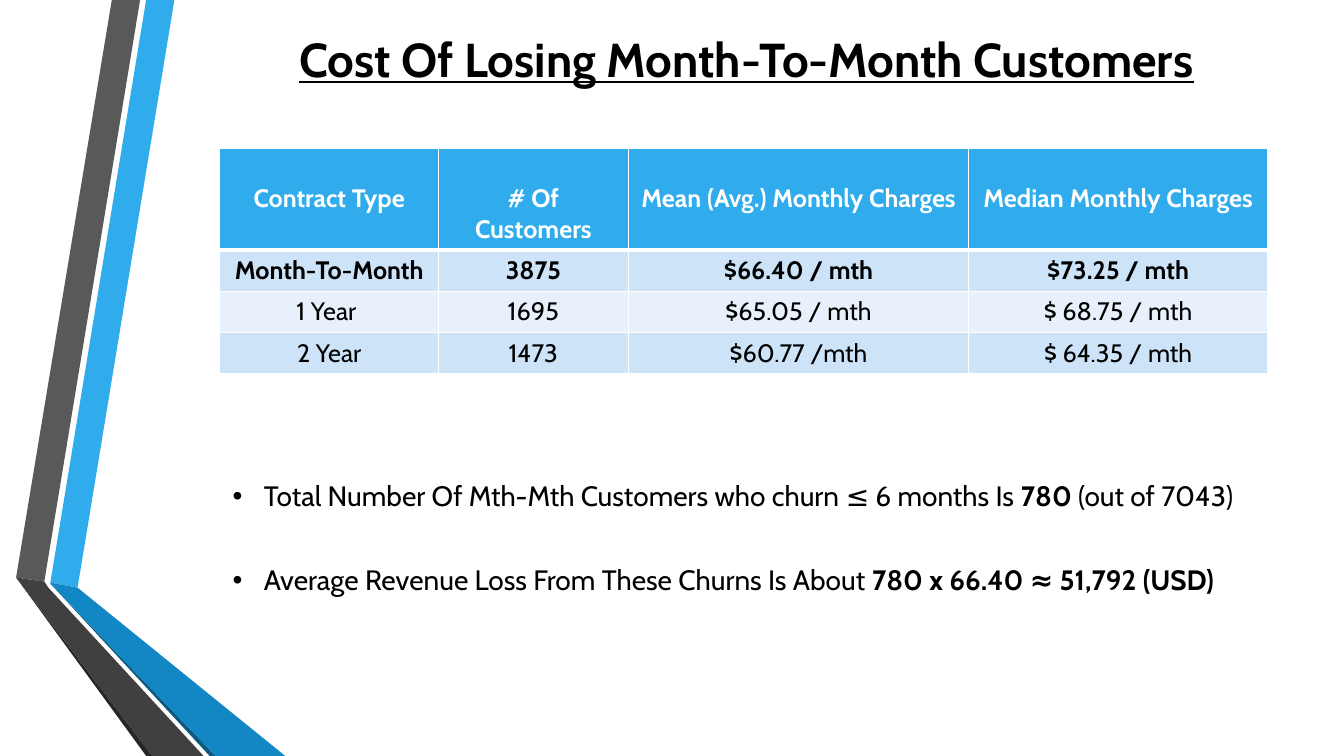
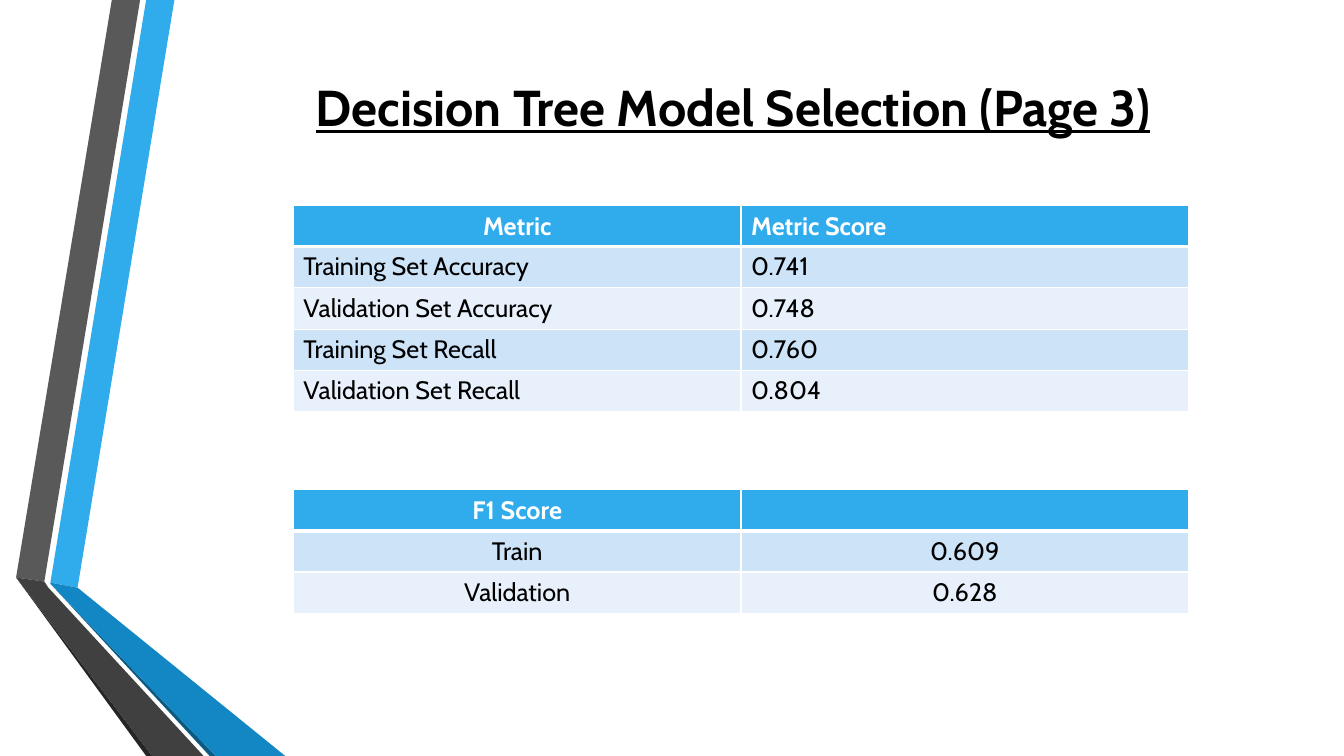
from dataclasses import dataclass

import lxml.etree
import pptx
import pptx.dml.color
import pptx.enum.text
import pptx.oxml.ns
import pptx.util

Inches = pptx.util.Inches
Pt = pptx.util.Pt
ALIGN = pptx.enum.text.PP_ALIGN
ANCHOR = pptx.enum.text.MSO_ANCHOR

FONT = "Cabin"
BLACK, WHITE, BLUE = "000000", "FFFFFF", "30ACEC"
STRIPES = ("CDE3F8", "E8F1FB")
TITLE_ONLY = 5


@dataclass
class Band:
    color: str
    points: list[tuple[float, float]]


@dataclass
class Grid:
    left: float
    top: float
    cols: list[float]
    rows: list[list[str]]
    head: float = 0.4
    pad: float = 0.05
    bold: int = 1
    centred: bool = True


BANDS = [
    Band(BLUE, [(0.5, 5.78), (0.77, 5.83), (1.73, 0), (1.45, 0)]),
    Band("595959", [(1.39, 0), (1.11, 0), (0.16, 5.73), (0.44, 5.77)]),
    Band("262626", [(0.16, 5.73), (1.45, 7.5), (1.51, 7.5)]),
    Band("0C5A82", [(0.5, 5.79), (2.08, 7.5), (2.14, 7.5)]),
    Band("1287C3", [(0.5, 5.79), (2.14, 7.5), (2.83, 7.5), (0.77, 5.83), (0.5, 5.78)]),
    Band("404040", [(2.02, 7.5), (0.48, 5.83), (0.44, 5.77), (0.16, 5.73), (1.51, 7.5)]),
]

COSTS = Grid(
    2.18, 1.47, [2.17, 1.88, 3.38, 2.96],
    [
        ["Contract Type", "# Of Customers", "Mean (Avg.) Monthly Charges",
         "Median Monthly Charges"],
        ["Month-To-Month", "3875", "$66.40 / mth", "$73.25 / mth"],
        ["1 Year ", "1695", "$65.05 / mth", "$ 68.75 / mth"],
        ["2 Year", "1473", "$60.77 /mth", "$ 64.35 / mth"],
    ],
    head=1, pad=0.35, bold=2,
)
METRICS = Grid(
    2.91, 2.04, [4.44, 4.44],
    [
        ["Metric", "Metric Score"],
        ["Training Set Accuracy", "0.741"],
        ["Validation Set Accuracy", "0.748"],
        ["Training Set Recall", "0.760"],
        ["Validation Set Recall", "0.804"],
    ],
    centred=False,
)
SCORES = Grid(
    2.91, 4.86, [4.44, 4.44],
    [["F1 Score", ""], ["Train", "0.609"], ["Validation", "0.628"]],
)

# Each bullet is a list of (text, bold) runs.
POINTS = [
    [("Total Number Of Mth-Mth Customers who churn ≤ 6 months Is ", False),
     ("780", True), (" (out of 7043)", False)],
    [("Average Revenue Loss From These Churns Is About ", False),
     ("780 x 66.40 ≈ 51,792 (USD)", True)],
]


def rgb(color: str) -> pptx.dml.color.RGBColor:
    return pptx.dml.color.RGBColor.from_string(color)


def paint(fill, color: str) -> None:
    fill.solid()
    fill.fore_color.rgb = rgb(color)


def add_run(para, text: str, size: float, color: str = BLACK, bold: bool = False):
    run = para.add_run()
    run.text = text
    run.font.name, run.font.size, run.font.bold = FONT, Pt(size), bold
    run.font.color.rgb = rgb(color)
    return run


def add_node(parent, tag: str, **attrs):
    return lxml.etree.SubElement(parent, pptx.oxml.ns.qn(tag), attrs)


def add_bands(slide) -> None:
    for band in BANDS:
        first, *rest = [(Inches(x), Inches(y)) for x, y in band.points]
        form = slide.shapes.build_freeform(*first)
        form.add_line_segments(rest)
        shape = form.convert_to_shape()
        shape.shadow.inherit = False
        paint(shape.fill, band.color)
        shape.line.fill.background()


def start_slide(deck, title: str, box: tuple[float, ...], size: float):
    """Add a slide with the side bands and an underlined title."""
    slide = deck.slides.add_slide(deck.slide_layouts[TITLE_ONLY])
    add_bands(slide)
    shape = slide.shapes.title
    shape.left, shape.top, shape.width, shape.height = map(Inches, box)
    frame = shape.text_frame
    frame.word_wrap = True
    frame.auto_size = pptx.enum.text.MSO_AUTO_SIZE.NONE
    frame.vertical_anchor = ANCHOR.MIDDLE
    para = frame.paragraphs[0]
    para.alignment = ALIGN.CENTER
    add_run(para, title, size, bold=True).font.underline = True
    return slide


def set_edges(cell, row: int) -> None:
    """Draw white cell borders, thick between the header and the body."""
    props = cell._tc.get_or_add_tcPr()
    widths = {"L": 1, "R": 1, "T": 3 if row == 1 else 1, "B": 3 if row == 0 else 1}
    for side, width in widths.items():
        line = add_node(props, f"a:ln{side}", w=str(Pt(width)))
        add_node(add_node(line, "a:solidFill"), "a:srgbClr", val=WHITE)


def fill_cell(cell, text: str, row: int, col: int, grid: Grid) -> None:
    set_edges(cell, row)
    paint(cell.fill, STRIPES[(row - 1) % 2] if row else BLUE)
    if row == 0:
        cell.margin_top = Inches(grid.pad)
    para = cell.text_frame.paragraphs[0]
    middle = grid.centred or row == col == 0
    para.alignment = ALIGN.CENTER if middle else ALIGN.LEFT
    if text:
        add_run(para, text, 18, BLACK if row else WHITE, row < grid.bold)


def add_grid(slide, grid: Grid) -> None:
    heights = [grid.head] + [0.41] * (len(grid.rows) - 1)
    table = slide.shapes.add_table(
        len(grid.rows), len(grid.cols), Inches(grid.left), Inches(grid.top),
        Inches(sum(grid.cols)), Inches(sum(heights)),
    ).table
    for col, width in zip(table.columns, grid.cols):
        col.width = Inches(width)
    for row, height in zip(table.rows, heights):
        row.height = Inches(height)
    for r, texts in enumerate(grid.rows):
        for c, text in enumerate(texts):
            fill_cell(table.cell(r, c), text, r, c, grid)


def add_points(slide) -> None:
    box = slide.shapes.add_textbox(Inches(2.21), Inches(4.2), Inches(10.33), Inches(1.65))
    frame = box.text_frame
    frame.word_wrap = True
    for i, runs in enumerate(POINTS):
        para = frame.add_paragraph() if i else frame.paragraphs[0]
        para.line_spacing = 2.5
        props = para._p.get_or_add_pPr()
        props.set("marL", str(Inches(0.31)))
        props.set("indent", str(-Inches(0.31)))
        add_node(props, "a:buFont", typeface="Arial")
        add_node(props, "a:buChar", char="•")
        for text, bold in runs:
            add_run(para, text, 20, bold=bold)


def main() -> None:
    deck = pptx.Presentation()
    deck.slide_width, deck.slide_height = Inches(13.33), Inches(7.5)

    costs = start_slide(
        deck, "Cost Of Losing Month-To-Month Customers", (2.21, 0.22, 10.39, 0.72), 34)
    add_grid(costs, COSTS)
    add_points(costs)

    model = start_slide(
        deck, "Decision Tree Model Selection (Page 3)", (2, 0.72, 10.54, 0.67), 36)
    add_grid(model, METRICS)
    add_grid(model, SCORES)

    deck.save("out.pptx")


if __name__ == "__main__":
    main()
